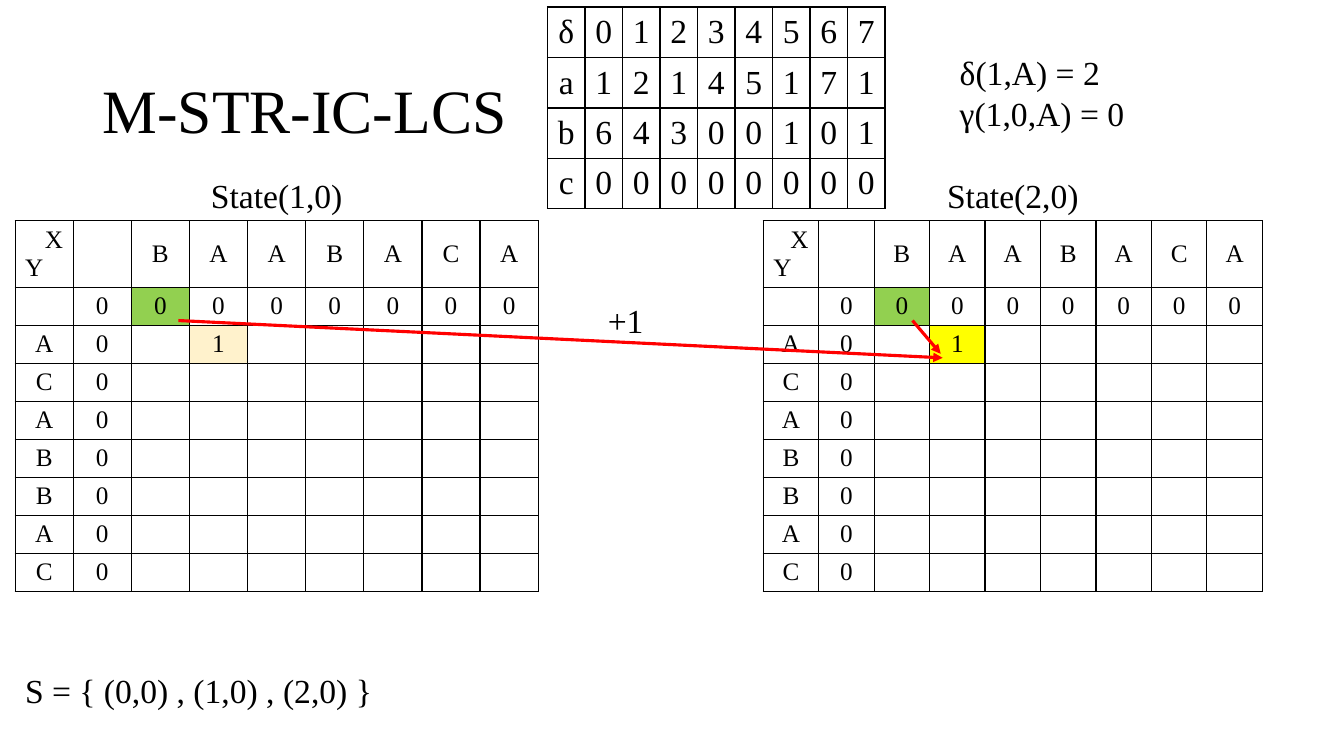
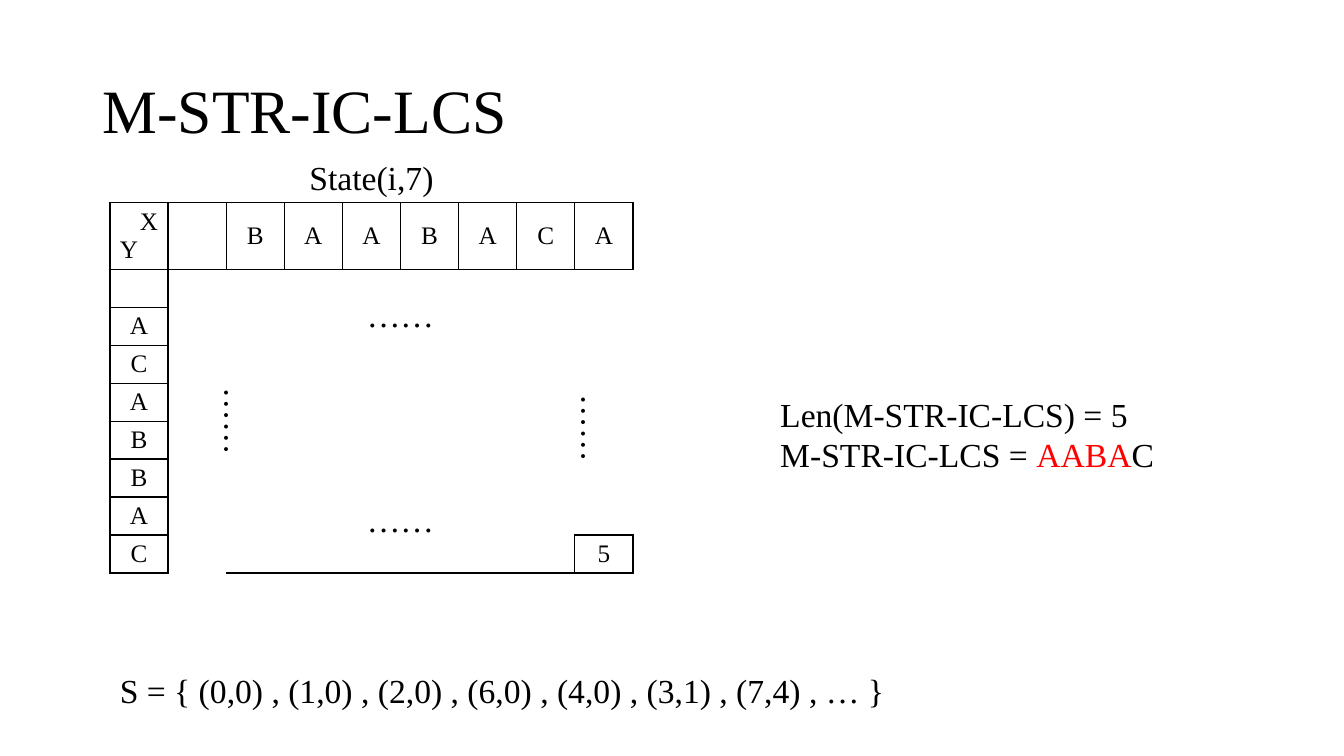
"""Build two slides on the M-STR-IC-LCS dynamic programming tables."""
from lxml import etree
from pptx import Presentation
from pptx.dml.color import RGBColor
from pptx.enum.shapes import MSO_CONNECTOR
from pptx.enum.text import MSO_ANCHOR, PP_ALIGN
from pptx.oxml.ns import qn
from pptx.util import Inches, Pt

BLACK = RGBColor(0x00, 0x00, 0x00)
WHITE = RGBColor(0xFF, 0xFF, 0xFF)
RED = RGBColor(0xFF, 0x00, 0x00)
GREEN = RGBColor(0x92, 0xD0, 0x50)
CREAM = RGBColor(0xFF, 0xF2, 0xCC)
YELLOW = RGBColor(0xFF, 0xFF, 0x00)

LEFT, CENTER, RIGHT = PP_ALIGN.LEFT, PP_ALIGN.CENTER, PP_ALIGN.RIGHT
MIDDLE, TOP = MSO_ANCHOR.MIDDLE, MSO_ANCHOR.TOP
STRAIGHT = MSO_CONNECTOR.STRAIGHT

FONT = "Times New Roman"
TITLE, BODY, SMALL = 44, 24, 18
SIDES = {"L": (0, -1), "R": (0, 1), "T": (-1, 0), "B": (1, 0)}
HEADER = ["X\nY", "", *"BAABACA"]
LABELS = ["", *"ACABBAC"]
STATE_ROWS = [0.46, 0.66] + [0.377] * 8
DELTA = ["δ01234567", "a12145171", "b64300101", "c00000000"]
DOTS = "……"


class Deck:
    """Shared style, the current slide and its element builders."""

    def __init__(self):
        self.prs = Presentation()
        self.prs.slide_width = Inches(13.33)
        self.prs.slide_height = Inches(7.5)
        self.s = None

    def slide(self, title):
        self.s = self.prs.slides.add_slide(self.prs.slide_layouts[6])
        tf = self.text((0.92, 0.4, 11.5, 1.45), title, size=TITLE, anchor=MIDDLE)
        tf.paragraphs[0].line_spacing = 0.9

    def run(self, p, text, size, color=BLACK):
        r = p.add_run()
        r.text = text
        for name, value in {"name": FONT, "size": Pt(size)}.items():
            setattr(r.font, name, value)
        r.font.color.rgb = color

    def text(self, box, *lines, size=BODY, anchor=TOP, rotation=0):
        sp = self.s.shapes.add_textbox(*map(Inches, box))
        sp.rotation = rotation
        tf = sp.text_frame
        tf.word_wrap = True
        tf.vertical_anchor = anchor
        for i, line in enumerate(lines):
            p = tf.add_paragraph() if i else tf.paragraphs[0]
            for part in [(line,)] if isinstance(line, str) else line:
                self.run(p, part[0], size, *part[1:])
        return tf

    def arrow(self, *points):
        line = self.s.shapes.add_connector(STRAIGHT, *map(Inches, points))
        line.line.color.rgb = RED
        line.line.width = Pt(2.25)
        ln = line.line._get_or_add_ln()
        etree.SubElement(ln, qn("a:tailEnd"), type="triangle")
        etree.SubElement(line._element.spPr, qn("a:effectLst"))

    def border(self, cell, side, visible):
        tcPr = cell._tc.get_or_add_tcPr()
        ln = etree.SubElement(tcPr, qn(f"a:ln{side}"), w=str(Pt(1)))
        if visible:
            fill = etree.SubElement(ln, qn("a:solidFill"))
            etree.SubElement(fill, qn("a:srgbClr"), val=str(BLACK))
        else:
            etree.SubElement(ln, qn("a:noFill"))

    def fill_cell(self, cell, text, size, margin, color):
        cell.vertical_anchor = MIDDLE
        cell.margin_top = cell.margin_bottom = Inches(margin)
        lines = text.split("\n")
        tf = cell.text_frame
        for i, line in enumerate(lines):
            p = tf.add_paragraph() if i else tf.paragraphs[0]
            p.alignment = CENTER if len(lines) == 1 else (RIGHT, LEFT)[i]
            if line:
                self.run(p, line, size)
        if color is None:
            cell.fill.background()
        else:
            cell.fill.solid()
            cell.fill.fore_color.rgb = color

    def table(self, left, top, width, heights, rows, margin=0.05,
              caption=False, merges=(), fills=None, base=None):
        cols = len(rows[-1])
        frame = self.s.shapes.add_table(
            len(rows), cols, *map(Inches, (left, top, width, sum(heights))))
        tbl = frame.table
        tbl.first_row = tbl.horz_banding = False
        for col in tbl.columns:
            col.width = Inches(width / cols)
        for row, height in zip(tbl.rows, heights):
            row.height = Inches(height)
        merged = {(r, c) for r0, c0, r1, c1 in merges
                  for r in range(r0, r1 + 1) for c in range(c0, c1 + 1)}
        for r, row in enumerate(rows):
            in_caption = caption and r == 0
            size = SMALL if caption and r else BODY
            for c, text in enumerate(row):
                cell = tbl.cell(r, c)
                for side, (dr, dc) in SIDES.items():
                    hidden = in_caption and side != "B"
                    inside = {(r, c), (r + dr, c + dc)} <= merged
                    self.border(cell, side, not (hidden or inside))
                color = (fills or {}).get((r, c), base)
                self.fill_cell(cell, text, size, margin, color)
        if caption:
            tbl.cell(0, 0).merge(tbl.cell(0, cols - 1))
        for r0, c0, r1, c1 in merges:
            tbl.cell(r0, c0).merge(tbl.cell(r1, c1))

    def state(self, name, left, top, width, values, **style):
        rows = [[name] + [""] * 8, HEADER]
        rows += [[label, *cells] for label, cells in zip(LABELS, values)]
        self.table(left, top, width, STATE_ROWS, rows, margin=0.03,
                   caption=True, **style)


def main():
    deck = Deck()

    deck.slide("M-STR-IC-LCS")
    values = [["0"] * 8, ["0", "", "1"] + [""] * 5] + [["0"] + [""] * 7] * 6
    deck.state("State(1,0)", 0.15, 1.73, 5.19, values,
               fills={(2, 2): GREEN, (3, 3): CREAM})
    deck.state("State(2,0)", 7.57, 1.73, 4.95, values,
               fills={(2, 2): GREEN, (3, 3): YELLOW}, base=WHITE)
    deck.text((0.15, 6.6, 4.36, 0.5), "S = { (0,0) , (1,0) , (2,0) }")
    deck.arrow(1.77, 3.18, 9.35, 3.55)
    deck.arrow(9.05, 3.18, 9.33, 3.51)
    deck.text((5.93, 2.93, 0.82, 0.5), "+1")
    deck.table(5.43, 0.07, 3.35, [0.5] * 4, DELTA)
    deck.text((9.42, 0.47, 2.02, 1.31), "δ(1,A) = 2", "γ(1,0,A) = 0")

    deck.slide("M-STR-IC-LCS")
    values = [[""] * 8] * 7 + [[""] * 7 + ["5"]]
    deck.state("State(i,7)", 1.09, 1.55, 5.19, values,
               merges=[(2, 1, 9, 1), (2, 2, 8, 8), (9, 2, 9, 7)])
    deck.text((1.09, 6.6, 8.01, 0.5),
              "S = { (0,0) , (1,0) , (2,0) , (6,0) , (4,0) , (3,1) , (7,4) , … }")
    for left, top, rotation in [(3.54, 2.87, 0), (3.54, 4.9, 0),
                                (1.82, 4.04, 90), (5.36, 4.11, 90)]:
        deck.text((left, top, 1.08, 0.5), DOTS, rotation=rotation)
    deck.text((7.64, 3.86, 4.15, 0.91), "Len(M-STR-IC-LCS) = 5",
              [("M-STR-IC-LCS = ",), ("AABA", RED), ("C",)])

    deck.prs.save("out.pptx")


if __name__ == "__main__":
    main()
